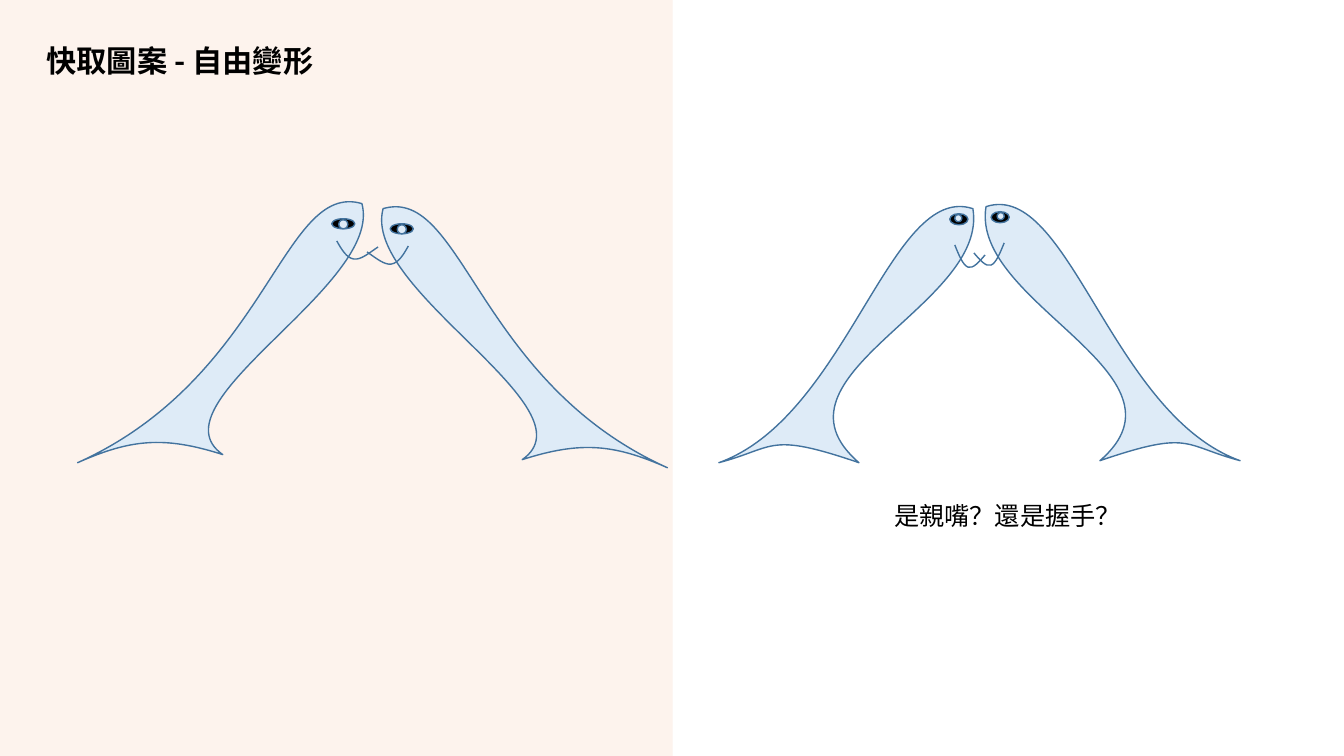
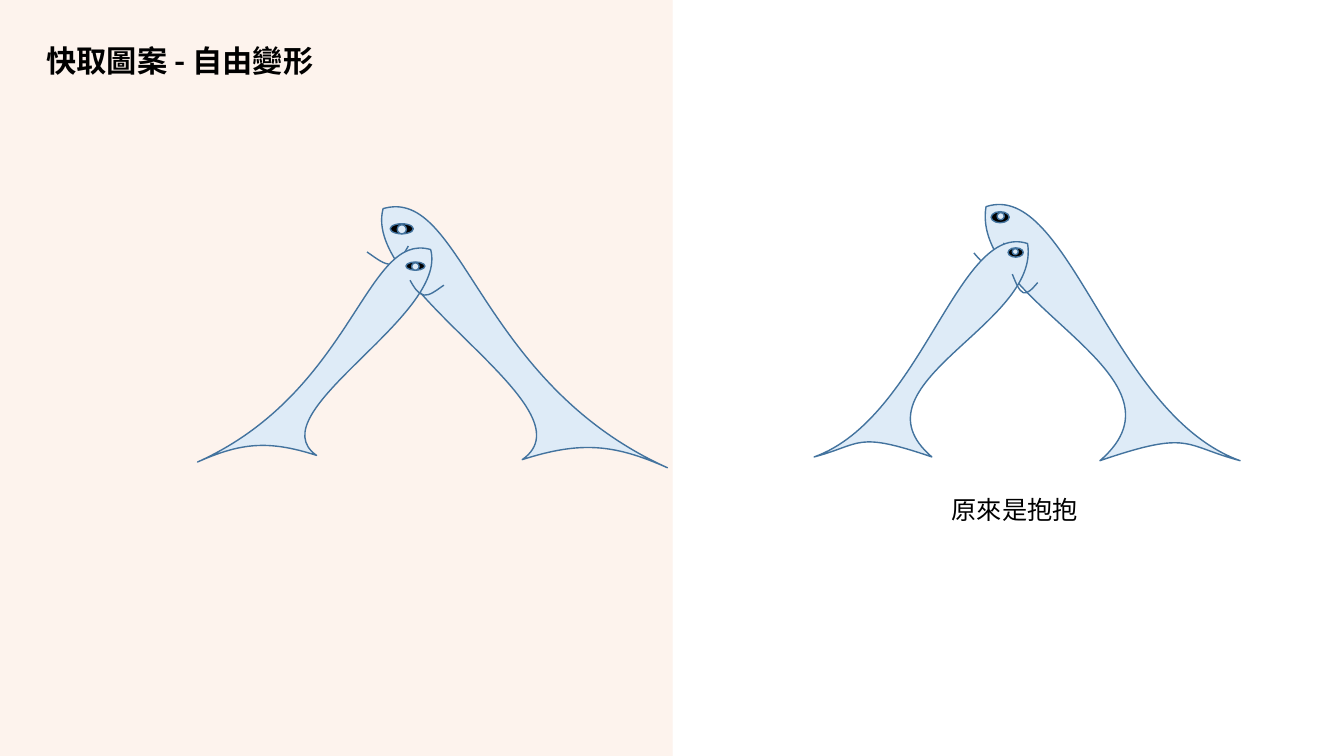
import lxml.etree
import pptx
import pptx.dml.color
import pptx.enum.shapes
import pptx.enum.text
import pptx.oxml.ns
import pptx.util

PX = 9144  # 100 px to the inch
WIDE, HIGH, HALF = 1333, 750, 667
STEPS = 24
PALE, BLUE, BLACK = "DEEBF7", "43739E", "000000"
SANS = "Noto Sans CJK SC"
OVAL = pptx.enum.shapes.MSO_SHAPE.OVAL
RECT = pptx.enum.shapes.MSO_SHAPE.RECTANGLE
qn = pptx.oxml.ns.qn


def ink(fill, hue):
    """Make a shape, line or font fill solid in a hex colour."""
    fill.solid()
    fill.fore_color.rgb = pptx.dml.color.RGBColor.from_string(hue)


def write(frame, text, font, size, bold=False, wrap=True, space=None):
    frame.word_wrap = wrap
    line = frame.paragraphs[0]
    line.alignment = pptx.enum.text.PP_ALIGN.LEFT
    line.line_spacing = space
    run = line.add_run()
    run.text = text
    run.font.size = pptx.util.Pt(size)
    run.font.bold = bold
    ink(run.font.fill, BLACK)
    run.font.name = font
    east = lxml.etree.SubElement(run.font._element, qn("a:ea"))
    east.set("typeface", SANS)


# Each fish faces left, measured from its top left corner.
# Outlines: a start point, then cubic curves (two handles and an end).
LONG = {
    "body": [(139, 251), (212, 200, -21, 83, 1, 2),
             (80, -21, 94, 174, 283, 259), (231, 236, 198, 232, 139, 251)],
    "mouth": [(-15, 45), (-6, 51, 2, 58, 9, 57), (16, 56, 21, 48, 26, 39)],
    "eye": (8, 17, 23, 10),
    "pupil": (15, 18, 9, 9),
}
SHORT = {
    "body": [(114, 254), (205, 223, 196, 239, 253, 254),
             (125, 208, 83, -25, 1, 2), (-15, 98, 214, 168, 114, 254)],
    "mouth": [(-11, 48), (-5, 55, 1, 62, 6, 60), (11, 58, 15, 48, 19, 38)],
    "eye": (6, 7, 18, 11),
    "pupil": (12, 8, 7, 7),
}

# Fish: kind, x and y of the nose corner, direction (-1 mirrors), scale
RIGHT_LONG = (LONG, 379, 205, 1, 1)
RIGHT_SHORT = (SHORT, 977, 203, 1, 1)
SLIDES = [
    ("是親嘴？還是握手？", (877, 491, 247, 40),
     [(LONG, 360, 200, -1, 1), RIGHT_LONG,
      (SHORT, 966, 205, -1, 1), RIGHT_SHORT]),
    ("原來是抱抱", (934, 485, 146, 40),
     [RIGHT_LONG, (LONG, 428, 246, -1, 0.82),
      RIGHT_SHORT, (SHORT, 1020, 240, -1, 0.84)]),
]

deck = pptx.Presentation()
deck.slide_width, deck.slide_height = WIDE * PX, HIGH * PX
layout = deck.slide_layouts[5]
head = layout.placeholders[0]
head.left, head.top, head.width, head.height = (
    n * PX for n in (36, 40, 595, 44))

for index, (note, place, shoal) in enumerate(SLIDES):
    slide = deck.slides.add_slide(layout)

    if index == 0:
        # The shared left band is drawn once, then moved to the layout.
        panel = slide.shapes.add_shape(RECT, 0, 0, HALF * PX, HIGH * PX)
        panel.shadow.inherit = False
        ink(panel.fill, "F4B183")
        panel.line.fill.background()
        edge = slide.shapes.add_connector(
            pptx.enum.shapes.MSO_CONNECTOR.STRAIGHT,
            HALF * PX, HIGH * PX, HALF * PX, 0)
        ink(edge.line.fill, "FBE5D6")
        edge.line.width = pptx.util.Pt(0.25)
        lxml.etree.SubElement(edge.element.spPr, qn("a:effectLst"))
        for rank, (part, share) in enumerate([(panel, 14), (edge, 50)]):
            for hue in part.element.iter(qn("a:srgbClr")):
                alpha = lxml.etree.SubElement(hue, qn("a:alpha"))
                alpha.set("val", str(share * 1000))
            next(part.element.iter(qn("p:cNvPr"))).set("id", str(101 + rank))
            layout.shapes.element.insert(2 + rank, part.element)

    title = slide.shapes.title.text_frame
    title.vertical_anchor = pptx.enum.text.MSO_ANCHOR.MIDDLE
    write(title, "快取圖案 - 自由變形", font=SANS, size=21.6,
          bold=True, space=0.9)

    for kind, left, top, way, scale in shoal:
        fish = slide.shapes.add_group_shape()
        parts = []
        for name, hue in (("body", PALE), ("mouth", None)):
            # Nodes in EMU: the start, then three for each curve
            nodes = [(round((left + way * scale * x) * PX),
                      round((top + scale * y) * PX))
                     for row in kind[name]
                     for x, y in zip(row[::2], row[1::2])]
            curves = [nodes[n:n + 4] for n in range(0, len(nodes) - 1, 3)]

            # Points along the curves give the outline its exact frame.
            spots = []
            for curve in curves:
                for step in range(1, STEPS + 1):
                    t = step / STEPS
                    u = 1 - t
                    mix = (u ** 3, 3 * u * u * t, 3 * u * t * t, t ** 3)
                    spots.append([sum(m * n for m, n in zip(mix, axis))
                                  for axis in zip(*curve)])
            pen = fish.shapes.build_freeform(*nodes[0])
            pen.add_line_segments(spots, close=hue is not None)
            shape = pen.convert_to_shape()

            # The straight steps then give way to the true curves.
            track = next(shape.element.iter(qn("a:path")))
            for step in track.findall(qn("a:lnTo")):
                track.remove(step)
            for rank, curve in enumerate(curves):
                bend = lxml.etree.Element(qn("a:cubicBezTo"))
                for x, y in curve[1:]:
                    lxml.etree.SubElement(
                        bend, qn("a:pt"),
                        x=str(x - shape.left), y=str(y - shape.top))
                track.insert(1 + rank, bend)
            parts.append((shape, hue))
        for name, hue in (("eye", BLACK), ("pupil", PALE)):
            x, y, wide, high = kind[name]
            mid = left + way * scale * (x + wide / 2)
            box = (mid - scale * wide / 2, top + scale * y,
                   scale * wide, scale * high)
            oval = fish.shapes.add_shape(OVAL, *(round(n * PX) for n in box))
            parts.append((oval, hue))
        for part, hue in parts:
            part.shadow.inherit = False
            ink(part.line.fill, BLUE)
            part.line.width = pptx.util.Pt(1)
            if hue:
                ink(part.fill, hue)
            else:
                part.fill.background()

    label = slide.shapes.add_textbox(*(n * PX for n in place))
    write(label.text_frame, note, font="Times New Roman", size=18, wrap=False)

deck.save("out.pptx")
